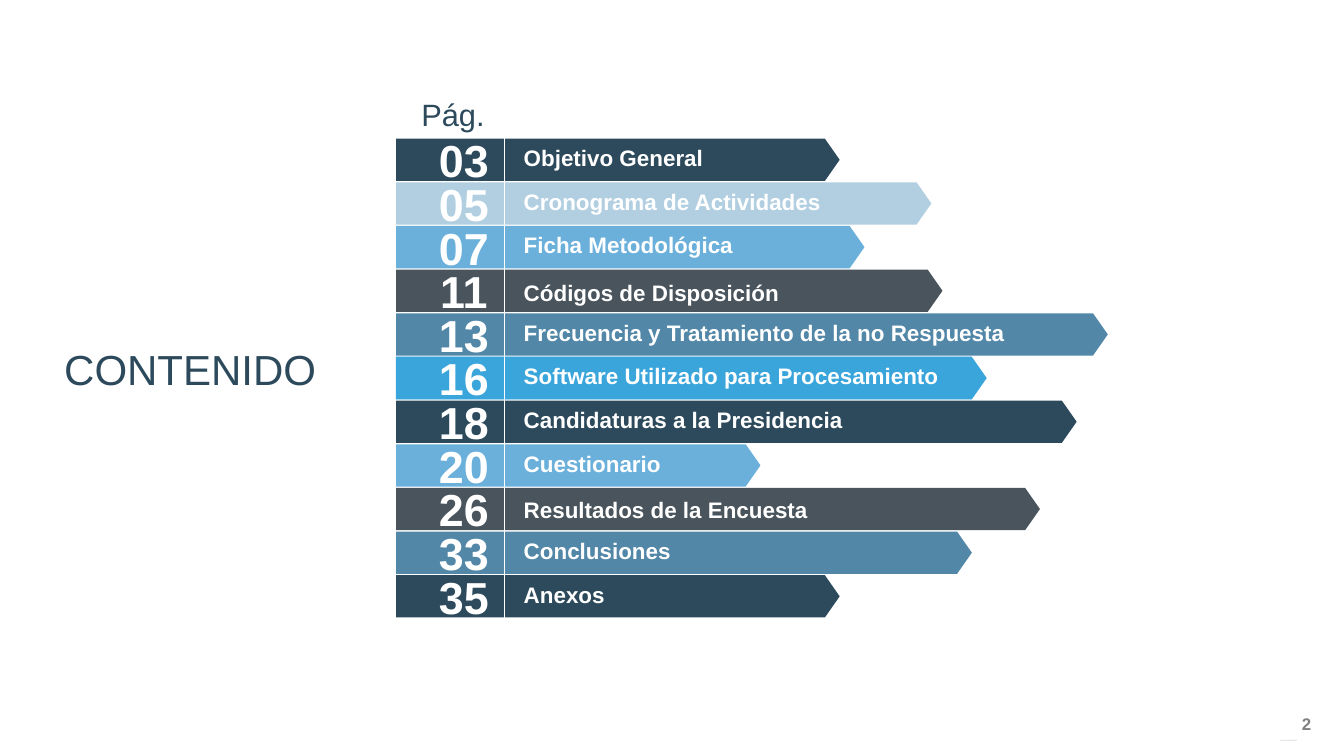
"""Build the contents slide: a page number and a title on each coloured arrow bar."""
from dataclasses import dataclass

from lxml.etree import SubElement
from pptx import Presentation
from pptx.dml.color import RGBColor
from pptx.enum.shapes import MSO_CONNECTOR, MSO_SHAPE
from pptx.enum.text import MSO_ANCHOR, PP_ALIGN
from pptx.oxml.ns import qn
from pptx.shapes.connector import Connector
from pptx.slide import Slide
from pptx.util import Cm, Pt


@dataclass(frozen=True)
class Theme:
    font: str = "Arial"
    navy: str = "2D4A5C"
    pale: str = "B2CFE1"
    sky: str = "6BB0DB"
    slate: str = "49545C"
    steel: str = "5287A8"
    azure: str = "39A5DB"
    white: str = "FFFFFF"
    grey: str = "808080"
    dark: str = "404040"
    title_size: int = 60
    heading_size: int = 44
    number_size: int = 64
    label_size: int = 32
    folio_size: int = 24


@dataclass(frozen=True)
class Entry:
    page: str
    label: str
    color: str
    bar_width: float
    label_width: float
    label_drop: float = 0
    outlined: bool = False


THEME = Theme()
BAR_LEFT, FIRST_TOP, PITCH, BAR_HEIGHT = 19.96, 6.99, 2.2, 2.13
NUMBER_LEFT, NUMBER_WIDTH, TEXT_HEIGHT = 20.45, 5.84, 3.3
DIVIDER_LEFT, DIVIDER_OVERRUN, LABEL_LEFT = 25.4, 0.4, 25.7

ENTRIES = [
    Entry("03", "Objetivo General", THEME.navy, 22.35, 14.25),
    Entry("05", "Cronograma de Actividades", THEME.pale, 26.97, 16.64),
    Entry("07", "Ficha Metodológica", THEME.sky, 23.6, 13.56),
    Entry("11", "Códigos de Disposición", THEME.slate, 27.53, 17.88, label_drop=0.18),
    Entry("13", "Frecuencia y Tratamiento de la no Respuesta", THEME.steel, 35.86, 28.17),
    Entry("16", "Software Utilizado para Procesamiento", THEME.azure, 29.74, 24.03, outlined=True),
    Entry("18", "Candidaturas a la Presidencia", THEME.navy, 34.29, 30.99),
    Entry("20", "Cuestionario", THEME.sky, 18.36, 13.56),
    Entry("26", "Resultados de la Encuesta", THEME.slate, 32.44, 24.03, label_drop=0.15),
    Entry("33", "Conclusiones", THEME.steel, 29.01, 23.27),
    Entry("35", "Anexos", THEME.navy, 22.35, 14.25),
]


def add_text(
    slide: Slide, text: str, left: float, top: float, width: float, height: float, *,
    size: int, color: str, bold: bool = False, align: PP_ALIGN = PP_ALIGN.LEFT,
    anchor: MSO_ANCHOR = MSO_ANCHOR.MIDDLE, spacing: float = 1.0,
    inset_x: float = 0.69, inset_y: float = 0.33,
) -> None:
    frame = slide.shapes.add_textbox(Cm(left), Cm(top), Cm(width), Cm(height)).text_frame
    frame.word_wrap = True
    frame.vertical_anchor = anchor
    frame.margin_left = frame.margin_right = Cm(inset_x)
    frame.margin_top = frame.margin_bottom = Cm(inset_y)
    paragraph = frame.paragraphs[0]
    paragraph.alignment = align
    paragraph.line_spacing = spacing
    run = paragraph.add_run()
    run.text = text
    run.font.name = THEME.font
    run.font.size = Pt(size)
    run.font.bold = bold
    run.font.color.rgb = RGBColor.from_string(color)


def add_line(
    slide: Slide, x1: float, y1: float, x2: float, y2: float, color: str, weight: float
) -> Connector:
    line = slide.shapes.add_connector(MSO_CONNECTOR.STRAIGHT, Cm(x1), Cm(y1), Cm(x2), Cm(y2))
    line.line.color.rgb = RGBColor.from_string(color)
    line.line.width = Pt(weight)
    SubElement(line._element.spPr, qn("a:effectLst"))
    return line


def add_bar(slide: Slide, entry: Entry, top: float) -> None:
    bar = slide.shapes.add_shape(
        MSO_SHAPE.PENTAGON, Cm(BAR_LEFT), Cm(top), Cm(entry.bar_width), Cm(BAR_HEIGHT))
    bar.adjustments[0] = 0.35
    bar.shadow.inherit = False
    bar.fill.solid()
    bar.fill.fore_color.rgb = RGBColor.from_string(entry.color)
    if entry.outlined:
        bar.line.color.rgb = RGBColor.from_string(entry.color)
        bar.line.width = Pt(0.75)
    else:
        bar.line.fill.background()


def add_entry(slide: Slide, entry: Entry, top: float) -> None:
    add_bar(slide, entry, top)
    text_top = top + (BAR_HEIGHT - TEXT_HEIGHT) / 2
    add_text(slide, entry.page, NUMBER_LEFT, text_top, NUMBER_WIDTH, TEXT_HEIGHT,
             size=THEME.number_size, color=THEME.white, bold=True, align=PP_ALIGN.CENTER)
    add_line(slide, DIVIDER_LEFT, top - DIVIDER_OVERRUN,
             DIVIDER_LEFT, top + BAR_HEIGHT + DIVIDER_OVERRUN, THEME.white, 0.75)
    add_text(slide, entry.label, LABEL_LEFT, text_top + entry.label_drop,
             entry.label_width, TEXT_HEIGHT,
             size=THEME.label_size, color=THEME.white, bold=True, spacing=0.83)


def add_folio(slide: Slide) -> None:
    rule = add_line(slide, 64.52, 37.31, 65.35, 37.31, THEME.dark, 1)
    tint = rule._element.spPr.find(".//" + qn("a:srgbClr"))
    SubElement(tint, qn("a:alpha"), val="20000")
    add_text(slide, "2", 65.35, 35.79, 1.65, 1.37, size=THEME.folio_size,
             color=THEME.grey, bold=True, inset_x=0.25, inset_y=0.13)


def main() -> None:
    deck = Presentation()
    deck.slide_width, deck.slide_height = Cm(67.72), Cm(38.1)
    slide = deck.slides.add_slide(deck.slide_layouts[6])
    add_text(slide, "CONTENIDO", 2.13, 16.89, 14.91, 4.11, size=THEME.title_size,
             color=THEME.navy, align=PP_ALIGN.CENTER, anchor=MSO_ANCHOR.TOP,
             spacing=0.9, inset_y=0.69)
    add_text(slide, "Pág.", NUMBER_LEFT, 4.93, 4.75, 1.9, size=THEME.heading_size,
             color=THEME.navy, align=PP_ALIGN.CENTER, spacing=0.9, inset_y=0.69)
    for row, entry in enumerate(ENTRIES):
        add_entry(slide, entry, FIRST_TOP + row * PITCH)
    add_folio(slide)
    deck.save("out.pptx")


if __name__ == "__main__":
    main()
